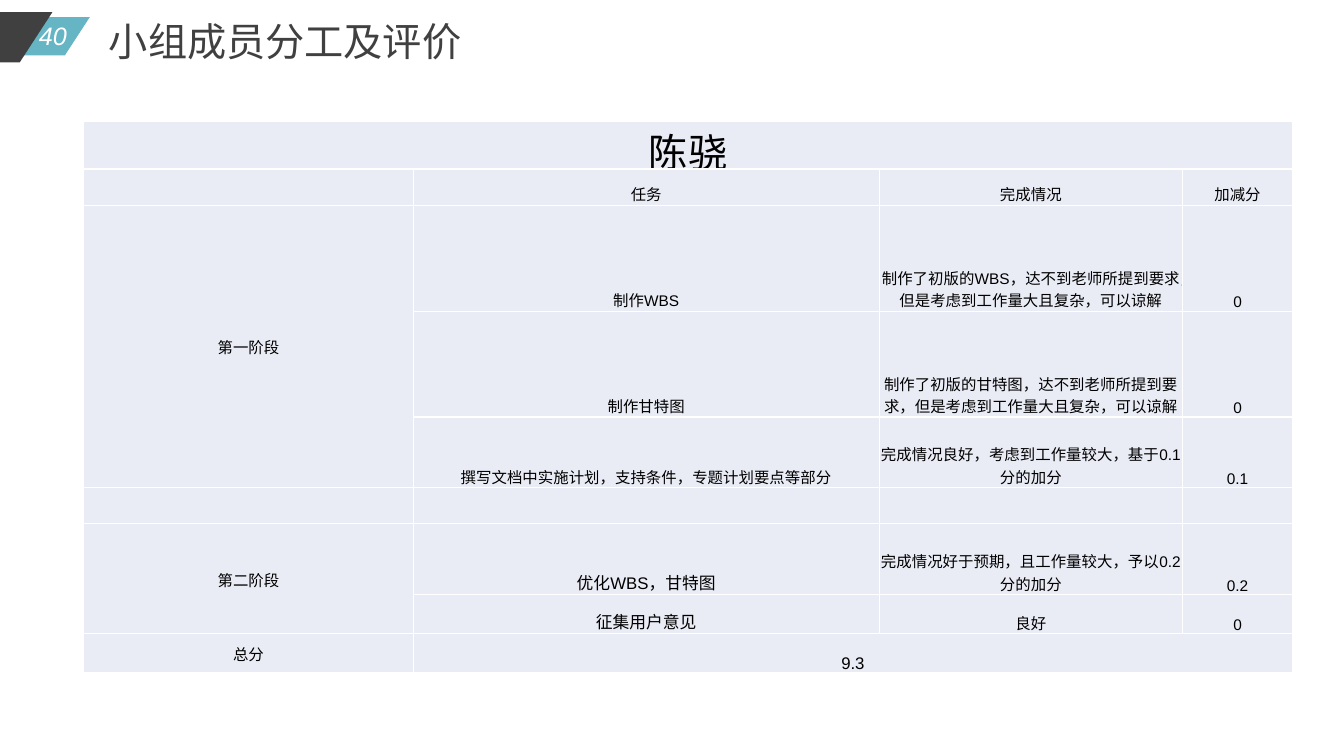
import pptx
import pptx.util
import pptx.dml.color
import pptx.enum.shapes
import pptx.enum.text
import pptx.oxml
import pptx.oxml.ns
import lxml.etree

RGBColor = pptx.dml.color.RGBColor
TEAL = RGBColor(0x66, 0xB5, 0xC4)
CHARCOAL = RGBColor(0x40, 0x40, 0x40)
WHITE = RGBColor(0xFF, 0xFF, 0xFF)
BLACK = RGBColor(0, 0, 0)
CELL_FILL = RGBColor(0xE9, 0xEB, 0xF5)
LATIN_FONT = "Arial"
CHINESE_FONT = "Noto Sans CJK SC"
PP_ALIGN = pptx.enum.text.PP_ALIGN
MSO_ANCHOR = pptx.enum.text.MSO_ANCHOR

presentation = pptx.Presentation()
presentation.slide_width = pptx.util.Inches(13.33)
presentation.slide_height = pptx.util.Inches(7.5)
GRID_COLUMN = presentation.slide_width / 1333
GRID_ROW = presentation.slide_height / 750
slide = presentation.slides.add_slide(presentation.slide_layouts[5])


def grid_box(left, top, width, height):
    return (round(left * GRID_COLUMN), round(top * GRID_ROW),
            round(width * GRID_COLUMN), round(height * GRID_ROW))


def write_text(text_frame, text, size, color, latin_font, alignment):
    text_frame.text = text
    paragraph = text_frame.paragraphs[0]
    paragraph.alignment = alignment
    for run in paragraph.runs:
        run.font.size = pptx.util.Pt(size)
        run.font.color.rgb = color
        run.font.name = latin_font
        east_asian = lxml.etree.SubElement(run.font._element, pptx.oxml.ns.qn("a:ea"))
        east_asian.set("typeface", CHINESE_FONT)


for box, color in (((-110, 17, 199, 38), TEAL), ((-208, 12, 260, 50), CHARCOAL)):
    banner = slide.shapes.add_shape(
        pptx.enum.shapes.MSO_SHAPE.PARALLELOGRAM, *grid_box(*box))
    banner.adjustments[0] = 0.65
    banner.shadow.inherit = False
    banner.fill.solid()
    banner.fill.fore_color.rgb = color
    banner.line.fill.background()

page_number = slide.shapes.add_textbox(*grid_box(27, 15, 51, 40))
page_number.text_frame.word_wrap = False
write_text(page_number.text_frame, "40", 18, WHITE, LATIN_FONT, PP_ALIGN.CENTER)
page_number.text_frame.paragraphs[0].runs[0].font.italic = True

title = slide.shapes.title
title.left, title.top, title.width, title.height = grid_box(98, 12, 374, 57)
title.text_frame.word_wrap = False
title.text_frame.auto_size = pptx.enum.text.MSO_AUTO_SIZE.NONE
title.text_frame.vertical_anchor = MSO_ANCHOR.MIDDLE
title.text_frame.margin_top = title.text_frame.margin_bottom = 0
write_text(title.text_frame, "小组成员分工及评价", 28, CHARCOAL, CHINESE_FONT, PP_ALIGN.LEFT)

column_widths = [327, 462, 301, 109]
row_heights = [47, 36, 105, 105, 70, 36, 70, 39, 39]
evaluation = [
    ["陈骁", "", "", ""],
    ["", "任务", "完成情况", "加减分"],
    ["第一阶段", "制作WBS", "制作了初版的WBS，达不到老师所提到要求，但是考虑到工作量大且复杂，可以谅解", "0"],
    ["", "制作甘特图", "制作了初版的甘特图，达不到老师所提到要求，但是考虑到工作量大且复杂，可以谅解", "0"],
    ["", "撰写文档中实施计划，支持条件，专题计划要点等部分", "完成情况良好，考虑到工作量较大，基于0.1分的加分", "0.1"],
    ["", "", "", ""],
    ["第二阶段", "优化WBS，甘特图", "完成情况好于预期，且工作量较大，予以0.2分的加分", "0.2"],
    ["", "征集用户意见", "良好", "0"],
    ["总分", "9.3", "", ""],
]
larger_sizes = {(0, 0): 28, (6, 1): 12, (7, 1): 12, (8, 1): 12}
merged_ranges = [((0, 0), (0, 3)), ((2, 0), (4, 0)), ((6, 0), (7, 0)), ((8, 1), (8, 3))]

table = slide.shapes.add_table(
    len(row_heights), len(column_widths),
    *grid_box(83, 120, sum(column_widths), sum(row_heights))).table
table.first_row = False
table.horz_banding = False
for column, width in zip(table.columns, column_widths):
    column.width = round(width * GRID_COLUMN)
for row, height in zip(table.rows, row_heights):
    row.height = round(height * GRID_ROW)
for first, last in merged_ranges:
    table.cell(*first).merge(table.cell(*last))

for row_index, row_texts in enumerate(evaluation):
    for column_index, text in enumerate(row_texts):
        cell = table.cell(row_index, column_index)
        cell.margin_left = cell.margin_right = cell.margin_top = pptx.util.Inches(0.01)
        cell.margin_bottom = 0
        is_stage = column_index == 0 and row_index > 0
        cell.vertical_anchor = MSO_ANCHOR.MIDDLE if is_stage else MSO_ANCHOR.BOTTOM
        for side in ("lnL", "lnR", "lnT", "lnB"):
            cell._tc.get_or_add_tcPr().append(pptx.oxml.parse_xml(
                f'<a:{side} {pptx.oxml.ns.nsdecls("a")} w="{pptx.util.Pt(1)}">'
                f'<a:solidFill><a:srgbClr val="{WHITE}"/></a:solidFill></a:{side}>'))
        cell.fill.solid()
        cell.fill.fore_color.rgb = CELL_FILL
        if text:
            size = larger_sizes.get((row_index, column_index), 11)
            write_text(cell.text_frame, text, size, BLACK, LATIN_FONT, PP_ALIGN.CENTER)

presentation.save("out.pptx")
